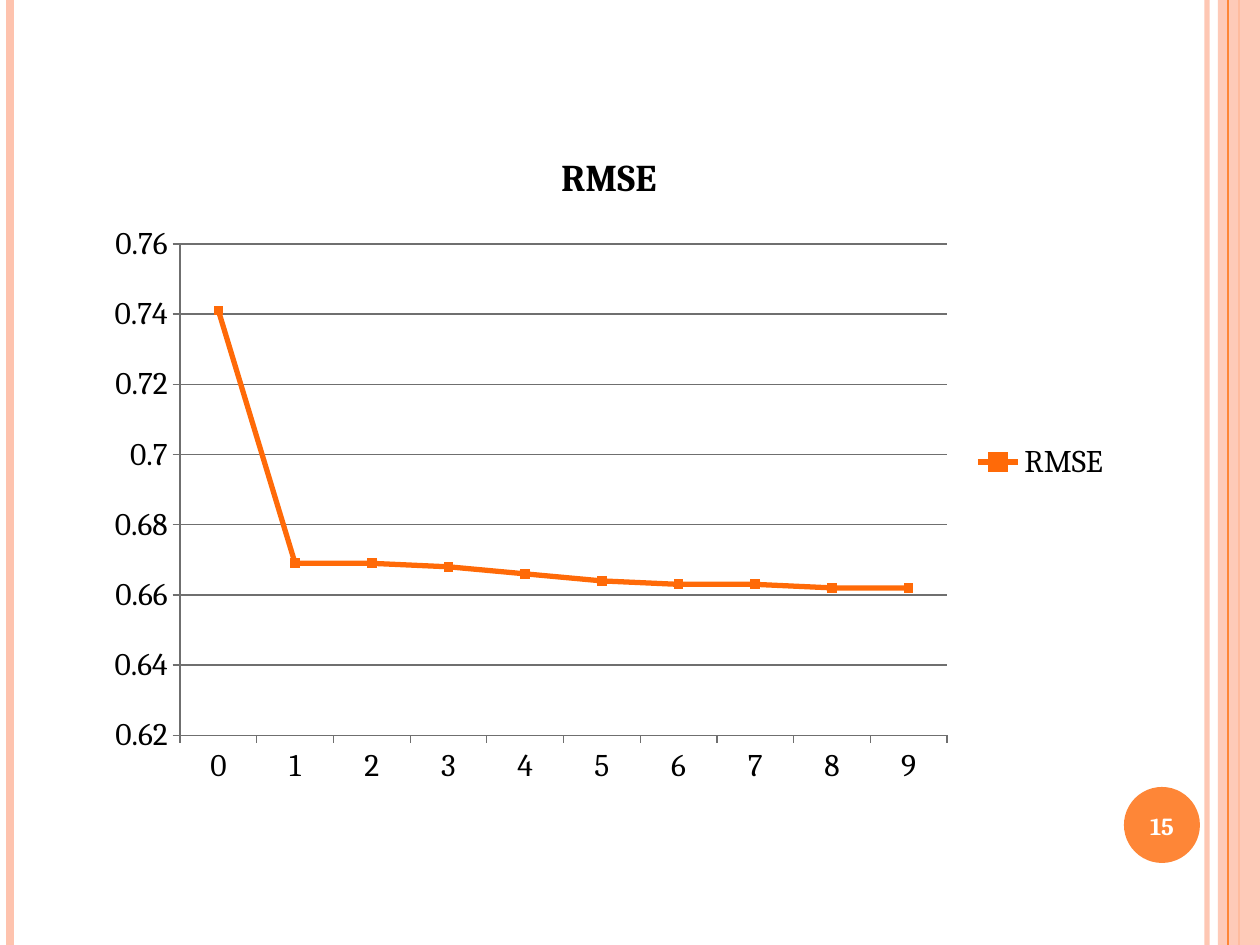
"""Build a slide with a line chart of RMSE per iteration."""
import lxml.etree
import pptx
import pptx.chart.data
import pptx.dml.color
import pptx.enum.chart
import pptx.enum.shapes
import pptx.enum.text
import pptx.oxml.ns
import pptx.util

EMU_PER_PX = 914400 / 126
WIDTH, HEIGHT = 1260, 945
FONT = "Cambria"
COLORS = {
    "peach": "FEC3AE",
    "orange": "FE8637",
    "series": "FF6A08",
    "axis": "6F6F6F",
    "black": "000000",
    "white": "FFFFFF",
}
RMSE = (0.741, 0.669, 0.669, 0.668, 0.666, 0.664, 0.663, 0.663, 0.662, 0.662)


def px(length):
    """Turn pixels into EMU."""
    return pptx.util.Emu(round(length * EMU_PER_PX))


def rgb(name):
    """Return a named colour."""
    return pptx.dml.color.RGBColor.from_string(COLORS[name])


def set_opacity(shape, percent):
    """Make the first solid colour of a shape partly transparent."""
    color = shape._element.spPr.find(".//" + pptx.oxml.ns.qn("a:srgbClr"))
    alpha = lxml.etree.SubElement(color, pptx.oxml.ns.qn("a:alpha"))
    alpha.set("val", str(percent * 1000))


def add_stripe(slide, x, color, points, opacity=100):
    """Draw a vertical line over the full slide height."""
    line = slide.shapes.add_connector(
        pptx.enum.shapes.MSO_CONNECTOR.STRAIGHT, px(x), px(0), px(x), px(HEIGHT))
    line.line.color.rgb = rgb(color)
    line.line.width = pptx.util.Pt(points)
    lxml.etree.SubElement(line._element.spPr, pptx.oxml.ns.qn("a:effectLst"))
    if opacity < 100:
        set_opacity(line, opacity)


def add_filled_shape(slide, kind, box, color, opacity=100):
    """Draw a preset shape with a fill and no outline."""
    shape = slide.shapes.add_shape(kind, *map(px, box))
    shape.shadow.inherit = False
    shape.fill.solid()
    shape.fill.fore_color.rgb = rgb(color)
    shape.line.fill.background()
    if opacity < 100:
        set_opacity(shape, opacity)


def format_font(font, size, color, bold=False):
    """Set typeface, size, colour and weight of a font."""
    font.name = FONT
    font.size = pptx.util.Pt(size)
    font.bold = bold
    font.color.rgb = rgb(color)


def add_text(slide, text, box, size, color, bold=False):
    """Add a centred text box."""
    frame = slide.shapes.add_textbox(*map(px, box)).text_frame
    frame.word_wrap = True
    frame.vertical_anchor = pptx.enum.text.MSO_ANCHOR.MIDDLE
    paragraph = frame.paragraphs[0]
    paragraph.alignment = pptx.enum.text.PP_ALIGN.CENTER
    run = paragraph.add_run()
    run.text = text
    format_font(run.font, size, color, bold)


def style_axis(axis):
    """Give an axis outward ticks and a thin grey line."""
    axis.major_tick_mark = pptx.enum.chart.XL_TICK_MARK.OUTSIDE
    axis.minor_tick_mark = pptx.enum.chart.XL_TICK_MARK.NONE
    axis.format.line.color.rgb = rgb("axis")
    axis.format.line.width = pptx.util.Pt(0.75)


def style_series(series):
    """Give a series a straight line with square markers."""
    series.smooth = False
    series.format.line.color.rgb = rgb("series")
    series.format.line.width = pptx.util.Pt(3)
    marker = series.marker
    marker.style = pptx.enum.chart.XL_MARKER_STYLE.SQUARE
    marker.size = 5
    marker.format.fill.solid()
    marker.format.fill.fore_color.rgb = rgb("series")
    marker.format.line.color.rgb = rgb("series")


def add_line_chart(slide, name, values, box):
    """Add a line chart of one series with a title and a legend."""
    data = pptx.chart.data.CategoryChartData()
    data.categories = [str(index) for index in range(len(values))]
    data.add_series(name, values)
    chart = slide.shapes.add_chart(
        pptx.enum.chart.XL_CHART_TYPE.LINE_MARKERS_STACKED, *map(px, box), data).chart
    format_font(chart.font, 18, "black")
    chart.has_title = True
    chart.chart_title.include_in_layout = False
    title = chart.chart_title.text_frame
    title.text = name
    format_font(title.paragraphs[0].runs[0].font, 21.6, "black", bold=True)
    chart.has_legend = True
    chart.legend.position = pptx.enum.chart.XL_LEGEND_POSITION.RIGHT
    chart.legend.include_in_layout = False
    for axis in (chart.category_axis, chart.value_axis):
        style_axis(axis)
    value_axis = chart.value_axis
    value_axis.minimum_scale, value_axis.maximum_scale = 0.62, 0.76
    value_axis.major_unit = 0.02
    value_axis.tick_labels.number_format = "General"
    value_axis.tick_labels.number_format_is_linked = False
    value_axis.has_major_gridlines = True
    gridline = value_axis.major_gridlines.format.line
    gridline.color.rgb = rgb("axis")
    gridline.width = pptx.util.Pt(0.75)
    chart.plots[0].vary_by_categories = False
    style_series(chart.plots[0].series[0])


def main():
    """Build and save the slide."""
    presentation = pptx.Presentation()
    presentation.slide_width, presentation.slide_height = px(WIDTH), px(HEIGHT)
    slide = presentation.slides.add_slide(presentation.slide_layouts[6])
    shapes = pptx.enum.shapes.MSO_SHAPE
    add_stripe(slide, 1207, "peach", 3, opacity=93)
    add_stripe(slide, 10, "peach", 4.5)
    add_stripe(slide, 1239, "orange", 1.5)
    add_filled_shape(slide, shapes.RECTANGLE, (1218, 0, 42, HEIGHT), "peach", opacity=87)
    add_stripe(slide, 1228, "orange", 0.75)
    add_filled_shape(slide, shapes.OVAL, (1124, 787, 76, 76), "orange")
    add_text(slide, "15", (1120, 790, 84, 72), size=14, color="white", bold=True)
    add_line_chart(slide, "RMSE", RMSE, (94, 126, 1030, 672))
    presentation.save("out.pptx")


if __name__ == "__main__":
    main()
